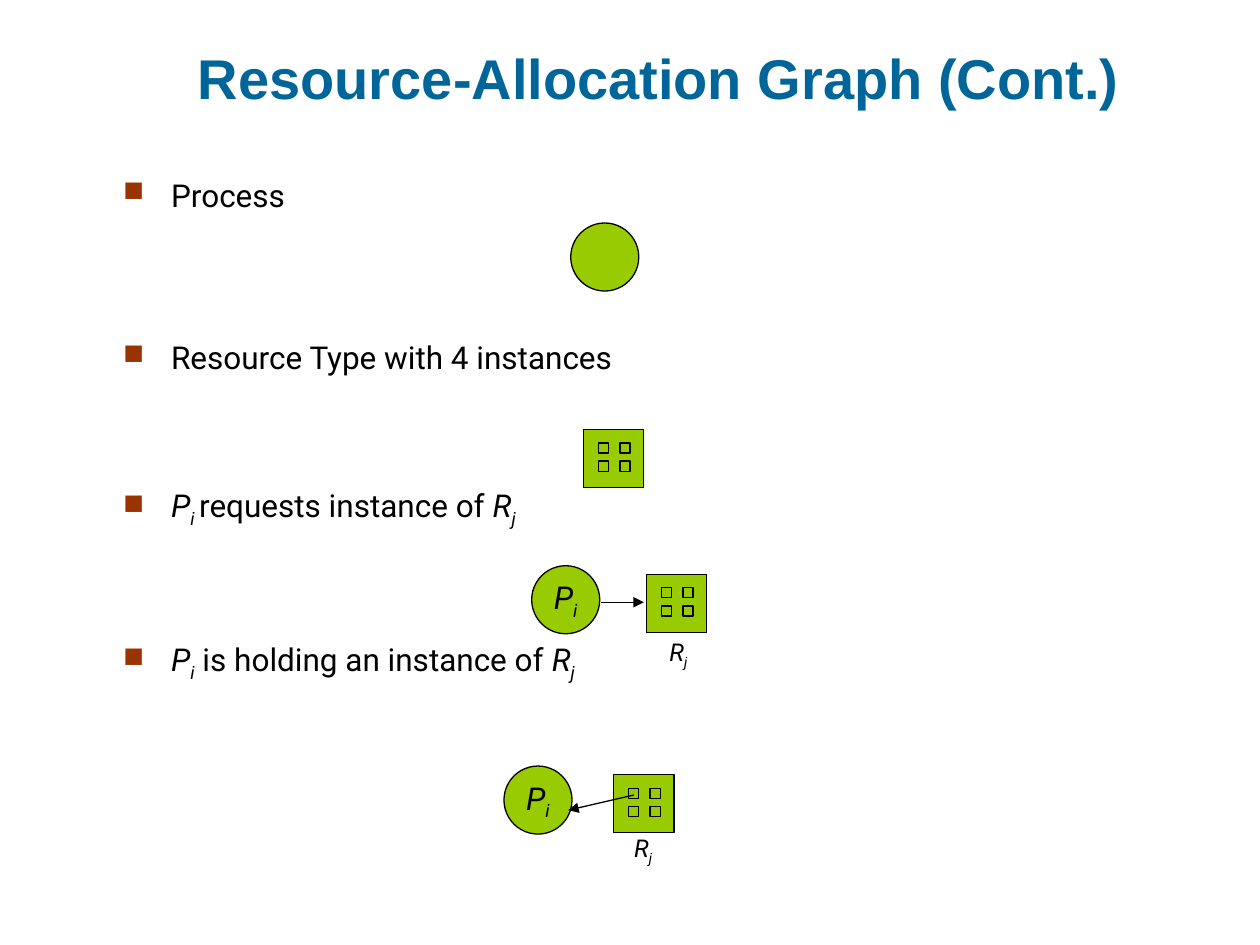
from lxml.etree import SubElement
from pptx import Presentation
from pptx.dml.color import RGBColor
from pptx.enum.shapes import MSO_CONNECTOR, MSO_SHAPE
from pptx.enum.text import MSO_ANCHOR, PP_ALIGN
from pptx.oxml.ns import qn
from pptx.util import Inches, Pt

BLACK = RGBColor(0x00, 0x00, 0x00)
BLUE = RGBColor(0x00, 0x66, 0x99)
GREEN = RGBColor(0x99, 0xCC, 0x00)
RUST = RGBColor(0x99, 0x33, 0x00)
UNIT = Inches(0.1)
COLS, ROWS = 100, 75
DISC = 5.4
P_I = [("P", "italic"), ("i", "sub")]
R_J = [("R", "italic"), ("j", "sub")]


def write(para, runs, size):
    for text, style in runs:
        run = para.add_run()
        run.text = text
        run.font.name = "Roboto"
        run.font.size = Pt(size)
        run.font.color.rgb = BLACK
        run.font.italic = style != "plain"
        if style == "sub":
            run.font._element.set("baseline", "-25000")


def draw(home, kind, *box):
    shape = home.add_shape(kind, *[int(n * UNIT) for n in box])
    shape.shadow.inherit = False
    shape.fill.solid()
    shape.fill.fore_color.rgb = GREEN
    shape.line.color.rgb = BLACK
    shape.line.width = Pt(0.75)
    return shape


deck = Presentation()
deck.slide_width, deck.slide_height = COLS * UNIT, ROWS * UNIT
slide = deck.slides.add_slide(deck.slide_layouts[6])
shapes = slide.shapes

title = shapes.add_textbox(*[int(n * UNIT) for n in (9.6, 3, 85.4, 6.3)])
frame = title.text_frame
frame.word_wrap = True
frame.vertical_anchor = MSO_ANCHOR.BOTTOM
para = frame.paragraphs[0]
para.alignment = PP_ALIGN.CENTER
run = para.add_run()
run.text = "Resource-Allocation Graph (Cont.)"
run.font.name = "Arial"
run.font.size = Pt(32)
run.font.bold = True
run.font.color.rgb = BLUE

body = shapes.add_textbox(*[int(n * UNIT) for n in (8.8, 13.5, 90, 49.5)])
frame = body.text_frame
frame.word_wrap = True
items = [
    (0, [("Process", "plain")]),
    (71, [("Resource Type with 4 instances", "plain")]),
    (63, [("P", "italic"), ("i ", "sub"), ("requests instance of ", "plain")] + R_J),
    (63, P_I + [(" is holding an instance of ", "plain")] + R_J),
]
for row, (gap, runs) in enumerate(items):
    para = frame.add_paragraph() if row else frame.paragraphs[0]
    props = para._p.get_or_add_pPr()
    props.set("marL", str(Inches(0.38)))
    props.set("indent", str(-Inches(0.38)))
    color = SubElement(props, qn("a:buClr"))
    SubElement(color, qn("a:srgbClr"), val=str(RUST))
    SubElement(props, qn("a:buSzPct"), val="90000")
    SubElement(props, qn("a:buChar"), char="■")
    para.space_before = Pt(gap)
    write(para, runs, 18)

for left, top, runs in [(45.3, 17.7, []), (40, 60.8, P_I), (42.2, 44.9, P_I)]:
    disc = draw(shapes, MSO_SHAPE.OVAL, left, top, DISC, DISC)
    frame = disc.text_frame
    frame.word_wrap = False
    frame.vertical_anchor = MSO_ANCHOR.MIDDLE
    para = frame.paragraphs[0]
    para.alignment = PP_ALIGN.CENTER
    write(para, runs, 18)

for left, top in [(46.3, 34.1), (51.3, 45.6), (48.7, 61.5)]:
    group = shapes.add_group_shape().shapes
    draw(group, MSO_SHAPE.RECTANGLE, left, top, 4.8, 4.6)
    for row in range(2):
        for col in range(2):
            draw(group, MSO_SHAPE.RECTANGLE,
                 left + 1.2 + 1.7 * col, top + 1.05 + 1.45 * row, 0.8, 0.8)

for ends in [(47.7, 47.8, 51.1, 47.8), (50.3, 63.1, 45.1, 64.3)]:
    arrow = shapes.add_connector(
        MSO_CONNECTOR.STRAIGHT, *[int(n * UNIT) for n in ends])
    arrow.line.color.rgb = BLACK
    arrow.line.width = Pt(0.75)
    SubElement(arrow.line._get_or_add_ln(), qn("a:tailEnd"), type="triangle")
    SubElement(arrow._element.spPr, qn("a:effectLst"))

for left, top in [(52, 50.2), (49.2, 65.8)]:
    label = shapes.add_textbox(*[int(n * UNIT) for n in (left, top, 3.7, 3.3)])
    frame = label.text_frame
    frame.word_wrap = False
    frame.vertical_anchor = MSO_ANCHOR.MIDDLE
    para = frame.paragraphs[0]
    para.alignment = PP_ALIGN.CENTER
    write(para, R_J, 14)

deck.save("out.pptx")
